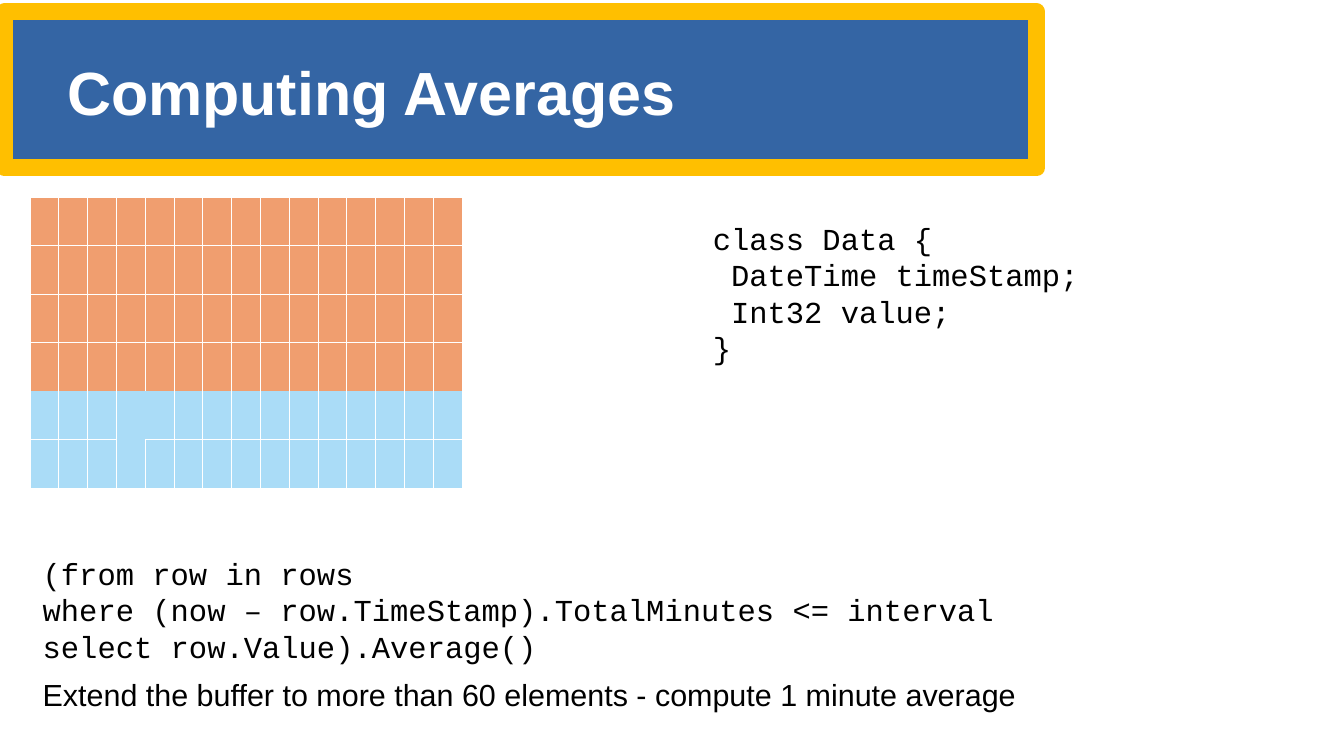
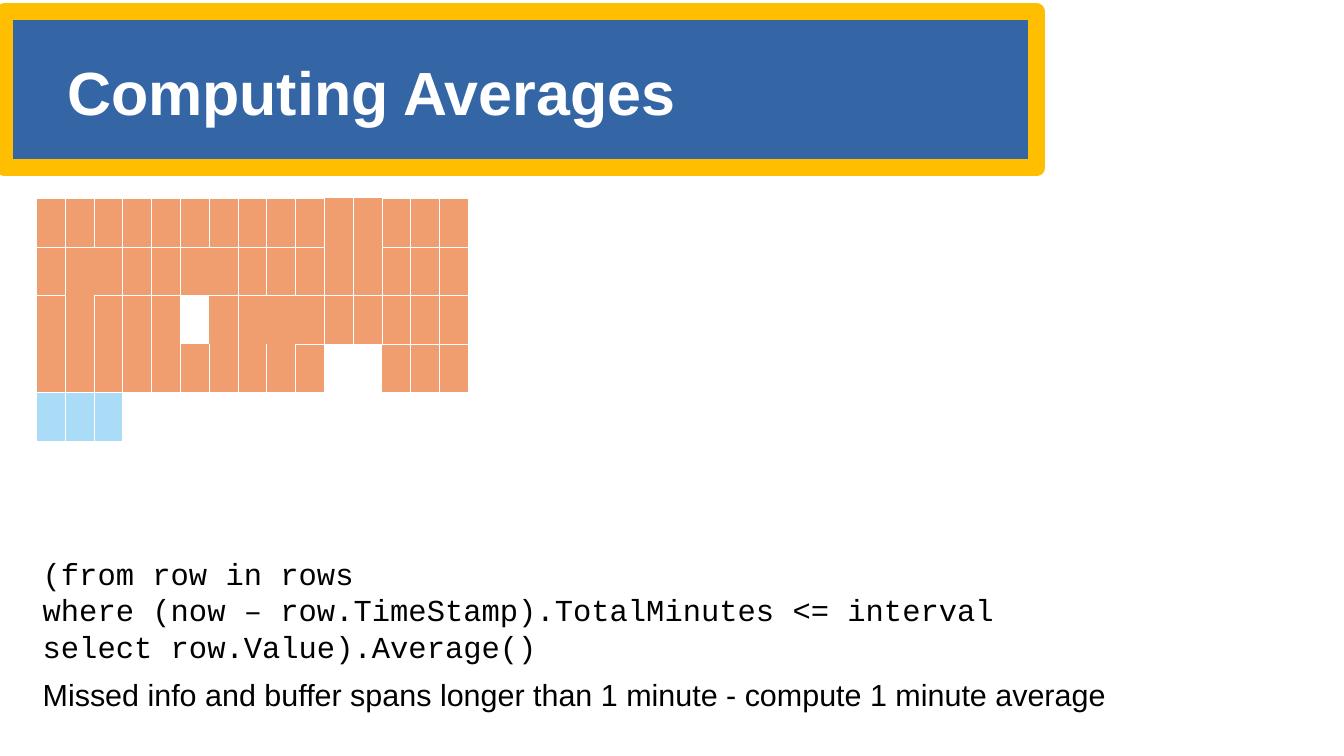
from dataclasses import dataclass

from lxml.etree import SubElement
from pptx import Presentation
from pptx.dml.color import RGBColor
from pptx.enum.shapes import MSO_SHAPE
from pptx.enum.text import MSO_ANCHOR, PP_ALIGN
from pptx.oxml.ns import qn
from pptx.util import Cm, Pt


@dataclass(frozen=True)
class Theme:
    blue: str = "3465A4"
    gold: str = "FFBF00"
    coral: str = "F09E6F"
    sky: str = "AADCF7"
    white: str = "FFFFFF"
    black: str = "000000"
    sans: str = "Arial"
    mono: str = "Courier New"
    head: float = 36
    body: float = 18
    frame: float = 10.09
    hair: float = 0.06


THEME = Theme()
FILLS = {"c": THEME.coral, "s": THEME.sky, "w": THEME.white}
SIDES = {"l": "a:lnL", "r": "a:lnR", "t": "a:lnT", "b": "a:lnB"}
CELL_W, CELL_H = 0.6, 1.01

QUERY = [
    "(from row in rows\nwhere (now – row.TimeStamp).TotalMinutes <= interval",
    "select row.Value).Average()",
]
RECORD = ["class Data {", " DateTime timeStamp;", " Int32 value;", "}"]

# One letter per cell gives its fill.
FULL = ["c" * 15] * 4 + ["s" * 15] * 2
GAPS = ["c" * 15] * 2 + [
    "cccccwccccccccc",
    "ccccccccccwwccc",
    "ssswwwwwwwwwwww",
]
# One word per cell names its open sides; a dot closes all four.
FULL_OPEN = [". " * 15] * 4 + [
    "t t tr t tl t t t t t t t t t t",
    ". . . t . . . . . . . . . . .",
]
GAPS_OPEN = [
    ". b . . . b . . . . t t . . .",
    "r . l . r . lb b b b tb tb b b b",
    ". t . . r t lr . l l b b b b b",
    "t t t tb t t t t t r . . l . .",
    ". . r . l . . . . . . . t t .",
]


def cm_box(box):
    return [Cm(v) for v in box]


def add_run(para, text, font, size, color, bold=False):
    run = para.add_run()
    run.text = text
    run.font.name = font
    run.font.size = Pt(size)
    run.font.bold = bold
    run.font.color.rgb = RGBColor.from_string(color)


def add_text(slide, box, paras, font):
    frame = slide.shapes.add_textbox(*cm_box(box)).text_frame
    frame.word_wrap = True
    for i, text in enumerate(paras):
        para = frame.add_paragraph() if i else frame.paragraphs[0]
        for j, line in enumerate(text.split("\n")):
            if j:
                para.add_line_break()
            add_run(para, line, font, THEME.body, THEME.black)


def set_sides(cell, gaps):
    """Draw a hairline on each side of the cell that is not in gaps."""
    props = cell._tc.get_or_add_tcPr()
    for i, (side, tag) in enumerate(SIDES.items()):
        line = SubElement(props, qn(tag), w=str(Pt(THEME.hair)))
        props.insert(i, line)
        if side in gaps:
            SubElement(line, qn("a:noFill"))
        else:
            fill = SubElement(line, qn("a:solidFill"))
            SubElement(fill, qn("a:srgbClr"), val=THEME.white)


def add_grid(slide, left, top, fills, gaps):
    rows, cols = len(fills), len(fills[0])
    box = cm_box((left, top, cols * CELL_W, rows * CELL_H))
    table = slide.shapes.add_table(rows, cols, *box).table
    table.first_row = table.horz_banding = False
    for r, (codes, marks) in enumerate(zip(fills, gaps)):
        for c, (code, mark) in enumerate(zip(codes, marks.split())):
            cell = table.cell(r, c)
            cell.margin_left = cell.margin_right = 0
            cell.margin_top = cell.margin_bottom = 0
            cell.fill.solid()
            cell.fill.fore_color.rgb = RGBColor.from_string(FILLS[code])
            set_sides(cell, mark)


def style_layout(layout, slide):
    """Give the layout its framed band and place its title in the band."""
    band = slide.shapes.add_shape(
        MSO_SHAPE.RECTANGLE, *cm_box((0.1, 0.25, 21.5, 3.25)))
    band.shadow.inherit = False
    band.fill.solid()
    band.fill.fore_color.rgb = RGBColor.from_string(THEME.blue)
    band.line.color.rgb = RGBColor.from_string(THEME.gold)
    band.line.width = Pt(THEME.frame)
    SubElement(band.element.spPr.find(qn("a:ln")), qn("a:round"))
    layout.shapes.element.insert(2, band.element)

    title = layout.placeholders[0]
    title.left, title.top, title.width, title.height = cm_box(
        (1.4, 0.6, 19.5, 2.6))
    frame = title.text_frame
    frame.margin_left = frame.margin_right = 0
    frame.margin_top = frame.margin_bottom = 0
    frame.vertical_anchor = MSO_ANCHOR.MIDDLE


def fill_slide(slide, grid, note):
    para = slide.shapes.title.text_frame.paragraphs[0]
    para.alignment = PP_ALIGN.LEFT
    add_run(para, "Computing Averages", THEME.sans, THEME.head,
            THEME.white, True)
    add_grid(slide, *grid)
    add_text(slide, (0.64, 11.43, 21, 2.47), QUERY, THEME.mono)
    add_text(slide, (0.64, 13.97, 25.8, 0.97), [note], THEME.sans)


def main():
    deck = Presentation()
    deck.slide_width, deck.slide_height = Cm(28), Cm(15.75)
    layout = deck.slide_layouts[5]
    full, gaps = [deck.slides.add_slide(layout) for _ in range(2)]
    style_layout(layout, full)

    fill_slide(full, (0.62, 4.1, FULL, FULL_OPEN),
               "Extend the buffer to more than 60 elements"
               " - compute 1 minute average")
    add_text(full, (14.6, 4.45, 13.3, 3.1), RECORD, THEME.mono)

    fill_slide(gaps, (0.75, 4.13, GAPS, GAPS_OPEN),
               "Missed info and buffer spans longer than 1 minute"
               " - compute 1 minute average")
    deck.save("out.pptx")


if __name__ == "__main__":
    main()
